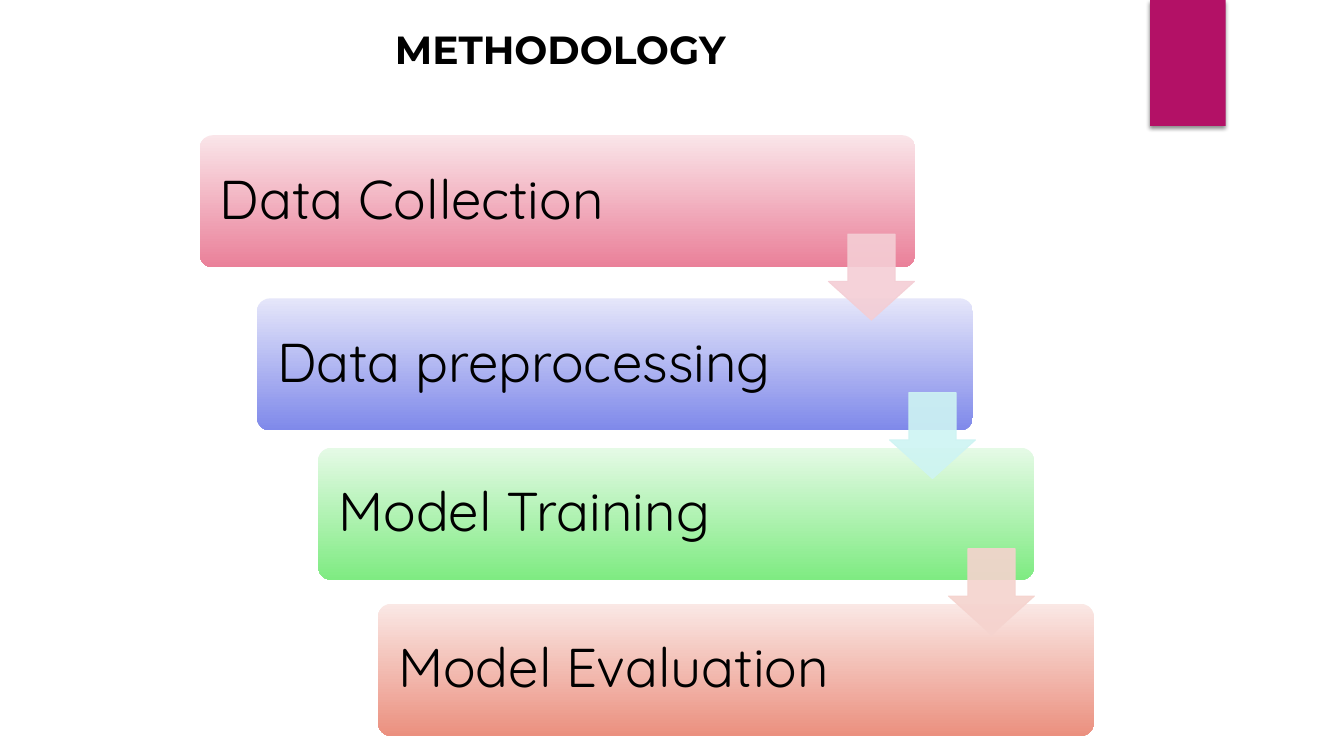
import pptx
import pptx.util
import pptx.dml.color
import pptx.enum.shapes
import pptx.enum.text
import pptx.oxml
import pptx.oxml.ns

Pt = pptx.util.Pt
SHAPE = pptx.enum.shapes.MSO_SHAPE

COLORS = {
    "text": "000000", "ribbon": "B31166",
    "rose_light": "FAE5E9", "rose": "EA8099", "rose_arrow": "F4CED5",
    "blue_light": "E5E6FA", "blue": "7F89EA", "aqua_arrow": "CEF4F3",
    "green_light": "E5FAE6", "green": "7FEB82",
    "coral_light": "FAE8E5", "coral": "EB907F", "coral_arrow": "F5D3CE",
}

# Step label, left, top, colour family
STEPS = [
    ("Data Collection", 142.6, 96.6, "rose"),
    ("Data preprocessing", 183.6, 213.1, "blue"),
    ("Model Training", 227.3, 319.8, "green"),
    ("Model Evaluation", 270, 431.3, "coral"),
]
STEP_WIDTH, STEP_HEIGHT = 511.3, 94.4

# Arrow left, top, colour
ARROWS = [
    (591.8, 167.3, "rose_arrow"),
    (635.4, 280.5, "aqua_arrow"),
    (677.5, 392, "coral_arrow"),
]
ARROW_SIZE = 61.4


def rgb(name):
    return pptx.dml.color.RGBColor.from_string(COLORS[name])


def add_plain_shape(slide, kind, left, top, width, height):
    shape = slide.shapes.add_shape(kind, Pt(left), Pt(top), Pt(width), Pt(height))
    shape.shadow.inherit = False
    shape.line.fill.background()
    return shape


def add_label(slide, text, left, top, width, height, font_name, size, bold=False):
    label = slide.shapes.add_textbox(Pt(left), Pt(top), Pt(width), Pt(height))
    label.text_frame.word_wrap = True
    paragraph = label.text_frame.paragraphs[0]
    paragraph.text = text
    paragraph.font.name = font_name
    paragraph.font.size = Pt(size)
    paragraph.font.bold = bold
    paragraph.font.color.rgb = rgb("text")
    return label


def add_ribbon(slide, left, top, width, height):
    ribbon = add_plain_shape(slide, SHAPE.RECTANGLE, left, top, width, height)
    ribbon.fill.solid()
    ribbon.fill.fore_color.rgb = rgb("ribbon")
    # Soft shadow below the ribbon
    effects = ribbon._element.spPr.find(pptx.oxml.ns.qn("a:effectLst"))
    effects.append(pptx.oxml.parse_xml(
        f'<a:outerShdw {pptx.oxml.ns.nsdecls("a")} blurRad="{Pt(3)}" dist="{Pt(2)}" '
        'dir="5400000" rotWithShape="0"><a:srgbClr val="000000">'
        '<a:alpha val="45000"/></a:srgbClr></a:outerShdw>'))


def add_step(slide, text, family, left, top, width, height):
    bar = add_plain_shape(slide, SHAPE.ROUNDED_RECTANGLE, left, top, width, height)
    bar.adjustments[0] = 0.1
    bar.fill.gradient()
    bar.fill.gradient_angle = 270
    for stop, position, color in zip(bar.fill.gradient_stops, (0, 1),
                                     (family + "_light", family)):
        stop.position = position
        stop.color.rgb = rgb(color)

    # Label inside the bar's rounded edge
    edge = 2.8
    label = add_label(slide, text, left + edge, top + edge, 402, height - 2 * edge,
                      "Quicksand", 39)
    frame = label.text_frame
    frame.margin_left = frame.margin_right = Pt(11.7)
    frame.margin_top = frame.margin_bottom = Pt(11.7)
    frame.vertical_anchor = pptx.enum.text.MSO_ANCHOR.MIDDLE
    frame.paragraphs[0].line_spacing = 0.9


def add_arrow(slide, color, left, top, size):
    arrow = add_plain_shape(slide, SHAPE.DOWN_ARROW, left, top, size, size)
    arrow.adjustments[0] = 0.55
    arrow.adjustments[1] = 0.45
    arrow.line.width = Pt(0.75)
    for paint in (arrow.fill, arrow.line.fill):
        paint.solid()
        paint.fore_color.rgb = rgb(color)
    # Slight transparency on fill and outline
    for tint in arrow._element.spPr.iter(pptx.oxml.ns.qn("a:srgbClr")):
        tint.append(pptx.oxml.parse_xml(
            f'<a:alpha {pptx.oxml.ns.nsdecls("a")} val="90000"/>'))


def add_methodology_slide(presentation):
    slide = presentation.slides.add_slide(presentation.slide_layouts[6])
    add_ribbon(slide, 821.5, 0, 54, 90)
    for text, left, top, family in STEPS:
        add_step(slide, text, family, left, top, STEP_WIDTH, STEP_HEIGHT)
    for left, top, color in ARROWS:
        add_arrow(slide, color, left, top, ARROW_SIZE)
    add_label(slide, "METHODOLOGY", 275, 14.4, 270, 41.2, "Montserrat", 28, bold=True)


def main():
    presentation = pptx.Presentation()
    presentation.slide_width = Pt(960)
    presentation.slide_height = Pt(540)
    add_methodology_slide(presentation)
    presentation.save("out.pptx")


if __name__ == "__main__":
    main()
